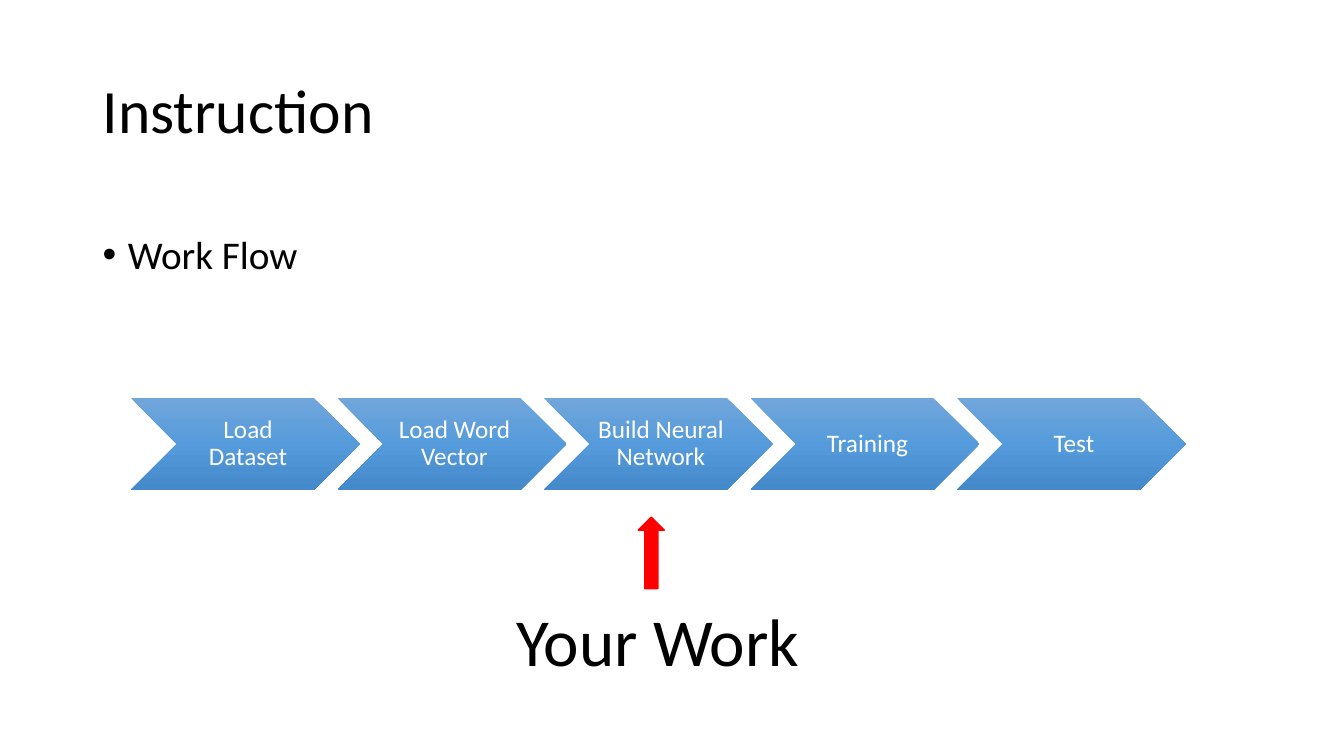
from lxml import etree
from pptx import Presentation
from pptx.dml.color import RGBColor
from pptx.enum.shapes import MSO_SHAPE
from pptx.enum.text import MSO_ANCHOR, PP_ALIGN
from pptx.oxml.ns import qn
from pptx.util import Inches, Pt

CHEVRON, ARROW = MSO_SHAPE.CHEVRON, MSO_SHAPE.UP_ARROW
TOP, MIDDLE = MSO_ANCHOR.TOP, MSO_ANCHOR.MIDDLE
LEFT, CENTER = PP_ALIGN.LEFT, PP_ALIGN.CENTER

TITLE = "Instruction"
POINT = "Work Flow"
STEPS = ["Load Dataset", "Load Word Vector", "Build Neural Network", "Training", "Test"]
LABEL = "Your Work"
FONT = "Calibri"
BLACK, WHITE, RED = "000000", "FFFFFF", "FF0000"
BLUES = [(0, "71A6DB"), (50, "559BDB"), (100, "448ACA")]
STEP_X, STEP_Y, STEP_W, STEP_H = 1.3, 3.95, 2.27, 0.91
PITCH = STEP_W * 0.9 + 0.005


def color(code):
    return RGBColor.from_string(code)


def write(shape, text, size, code, anchor=TOP, align=LEFT, space=1.0):
    frame = shape.text_frame
    frame.word_wrap = True
    frame.vertical_anchor = anchor
    para = frame.paragraphs[0]
    para.alignment = align
    para.line_spacing = space
    run = para.add_run()
    run.text = text
    run.font.name = FONT
    run.font.size = Pt(size)
    run.font.color.rgb = color(code)
    return para


def add_box(slide, left, top, width, height):
    return slide.shapes.add_textbox(Inches(left), Inches(top), Inches(width), Inches(height))


def add_shape(slide, kind, left, top, width, height):
    shape = slide.shapes.add_shape(kind, Inches(left), Inches(top), Inches(width), Inches(height))
    shape.shadow.inherit = False
    return shape


def add_bullet(para):
    props = para._p.get_or_add_pPr()
    props.set("marL", str(Inches(0.25)))
    props.set("indent", str(-Inches(0.25)))
    etree.SubElement(props, qn("a:buFont")).set("typeface", "Arial")
    etree.SubElement(props, qn("a:buChar")).set("char", "•")


def shade(shape, stops):
    shape.fill.gradient()
    shape.fill.gradient_angle = 270
    items = shape._element.spPr.find(qn("a:gradFill")).find(qn("a:gsLst"))
    for item in list(items):
        items.remove(item)
    for place, code in stops:
        stop = etree.SubElement(items, qn("a:gs"))
        stop.set("pos", str(place * 1000))
        etree.SubElement(stop, qn("a:srgbClr")).set("val", code)


def add_step(slide, index, text):
    step = add_shape(slide, CHEVRON, STEP_X + index * PITCH, STEP_Y, STEP_W, STEP_H)
    shade(step, BLUES)
    step.line.fill.background()
    frame = step.text_frame
    frame.margin_left = Inches(0.07)
    frame.margin_right = Inches(0.02)
    frame.margin_top = frame.margin_bottom = Inches(0.03)
    write(step, text, 18, WHITE, MIDDLE, CENTER, 0.9)


def main():
    deck = Presentation()
    deck.slide_width, deck.slide_height = Inches(13.33), Inches(7.5)
    slide = deck.slides.add_slide(deck.slide_layouts[6])

    write(add_box(slide, 0.92, 0.4, 11.5, 1.45), TITLE, 44, BLACK, MIDDLE, space=0.9)
    point = write(add_box(slide, 0.92, 2, 11.5, 4.76), POINT, 28, BLACK, space=1.5)
    point.space_before = Pt(10)
    add_bullet(point)

    for index, text in enumerate(STEPS):
        add_step(slide, index, text)

    arrow = add_shape(slide, ARROW, 6.33, 5.13, 0.26, 0.71)
    arrow.fill.solid()
    arrow.fill.fore_color.rgb = color(RED)
    arrow.line.color.rgb = color(RED)
    arrow.line.width = Pt(1)

    write(add_box(slide, 5.02, 5.9, 4.04, 0.91), LABEL, 48, BLACK)
    deck.save("out.pptx")


if __name__ == "__main__":
    main()
